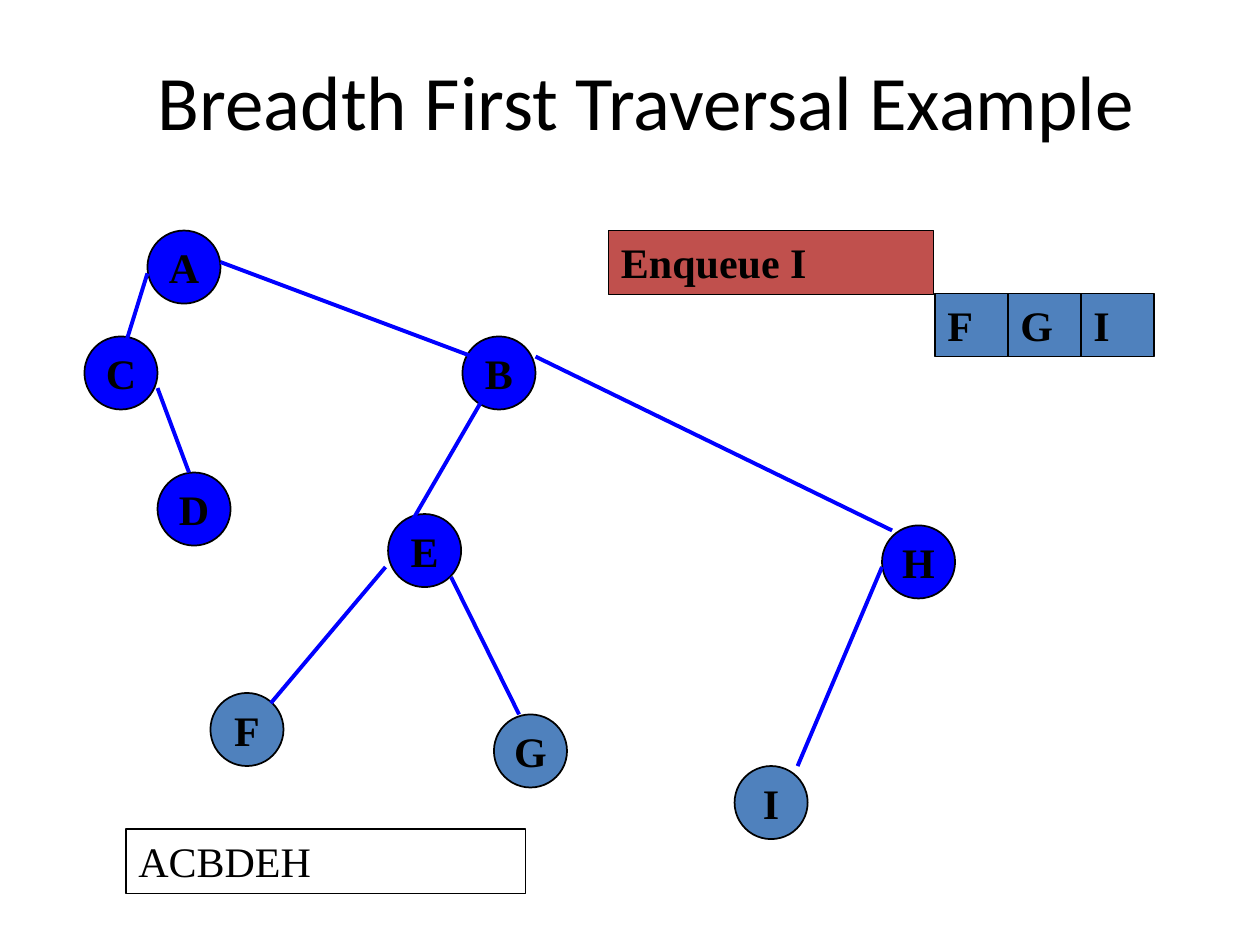
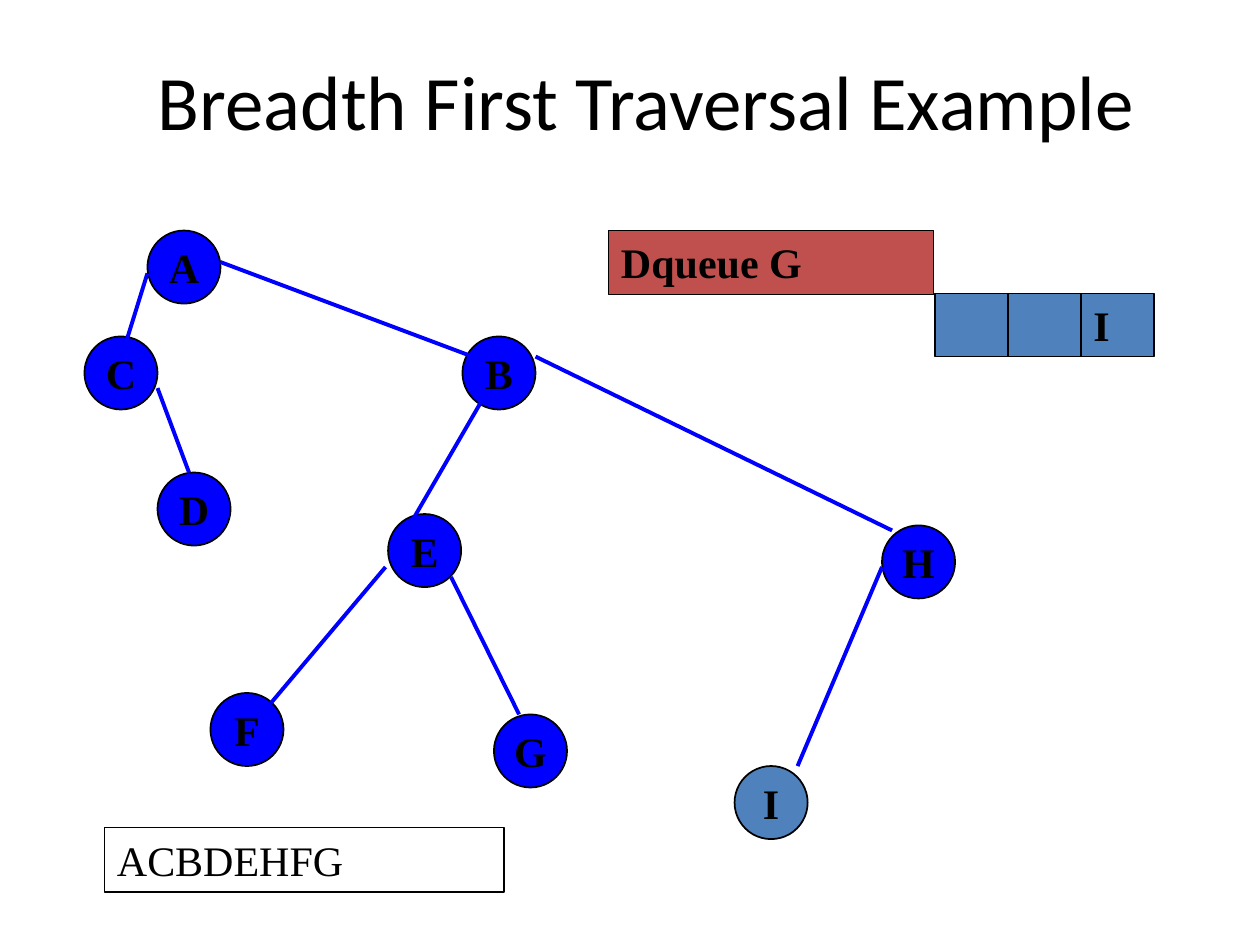
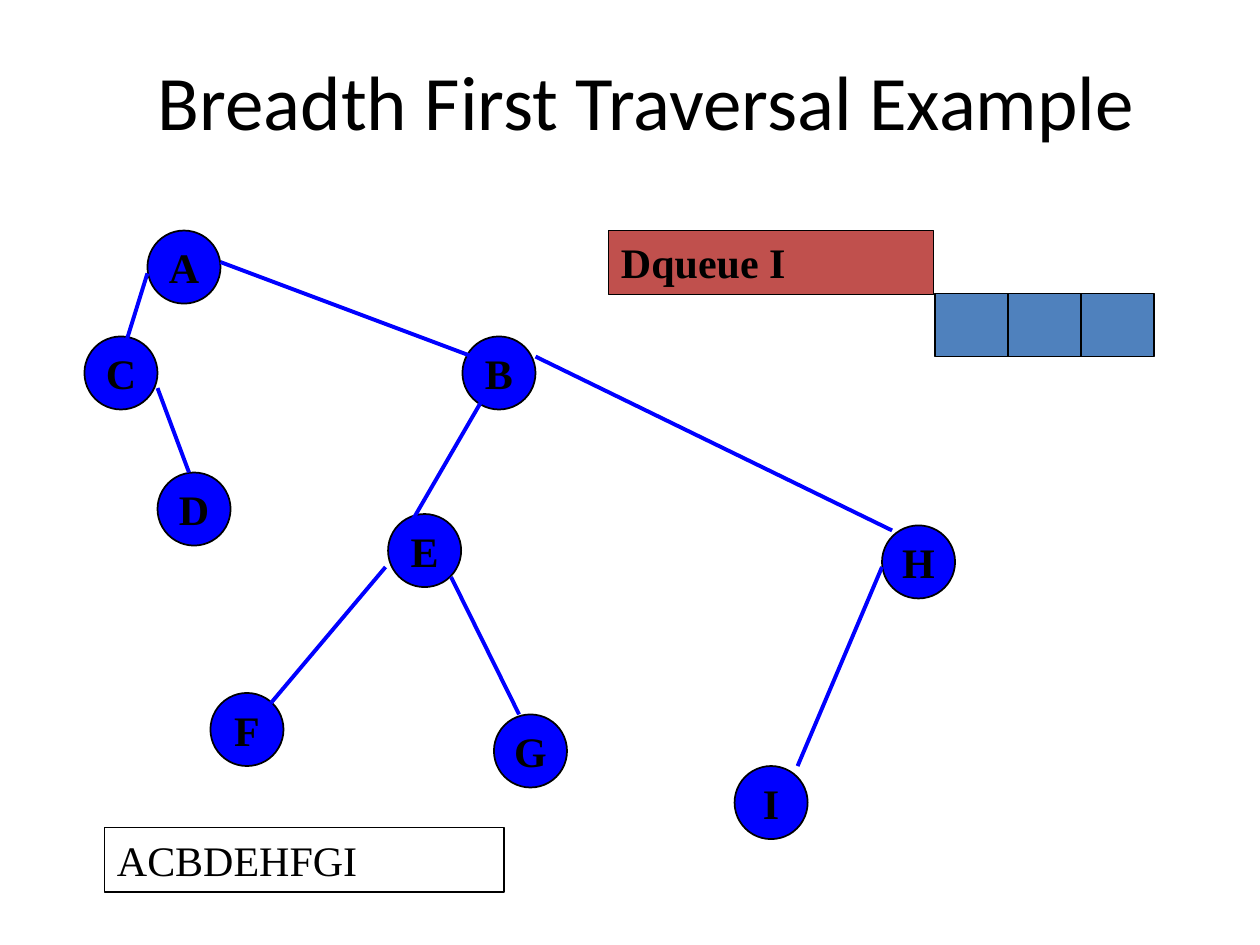
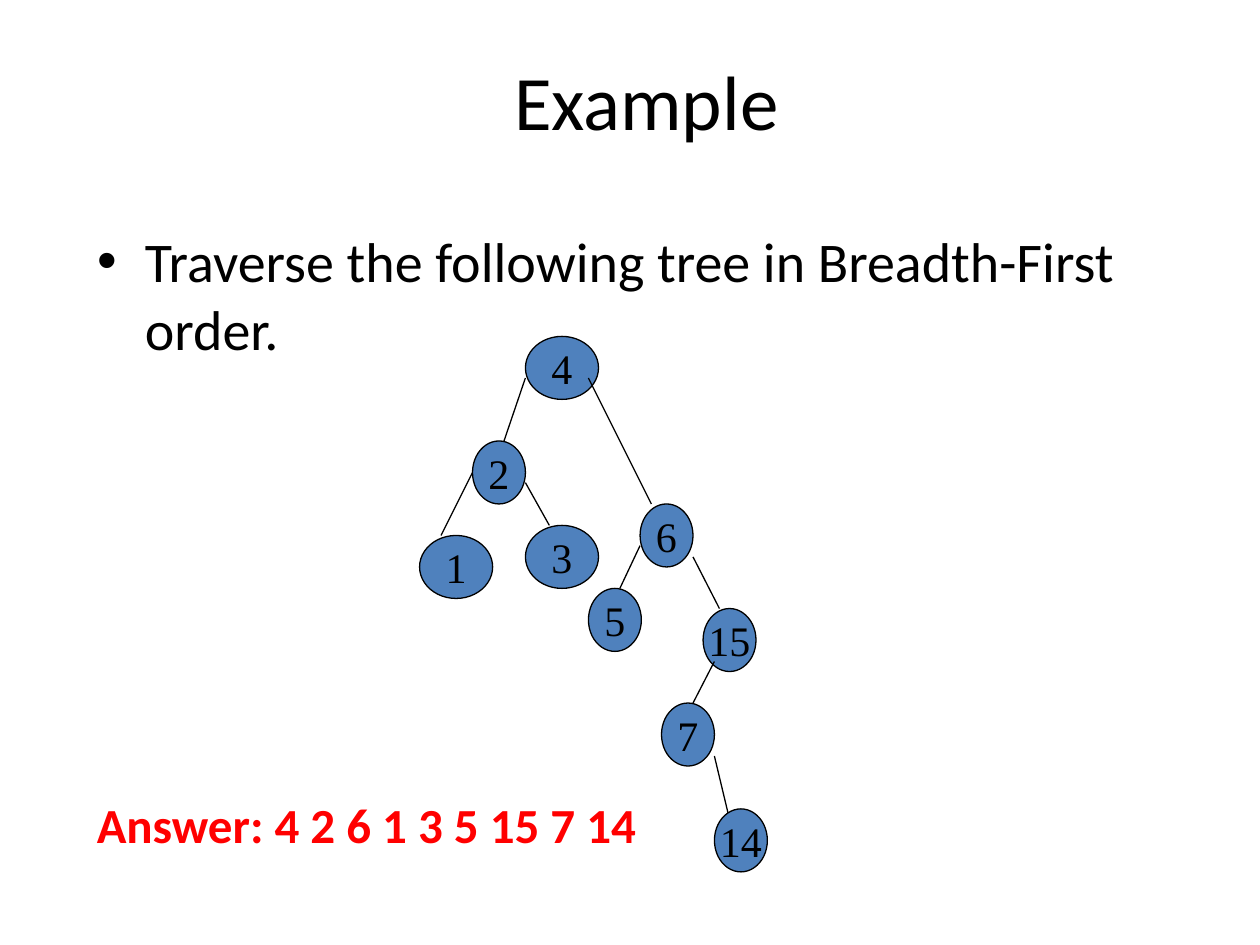
from dataclasses import dataclass
from typing import NamedTuple, Optional

from lxml.etree import SubElement
from pptx import Presentation
from pptx.dml.color import RGBColor
from pptx.enum.shapes import MSO_CONNECTOR, MSO_SHAPE
from pptx.enum.text import MSO_ANCHOR, MSO_AUTO_SIZE, PP_ALIGN
from pptx.oxml.ns import qn
from pptx.shapes.autoshape import Shape
from pptx.shapes.shapetree import GroupShapes
from pptx.slide import Slide
from pptx.text.text import TextFrame
from pptx.util import Inches, Pt

BLACK = RGBColor(0x00, 0x00, 0x00)
BLUE = RGBColor(0x00, 0x00, 0xFF)
STEEL = RGBColor(0x4F, 0x81, 0xBD)
BRICK = RGBColor(0xC0, 0x50, 0x4D)
RED = RGBColor(0xFF, 0x00, 0x00)
HEADING_FONT = "Calibri"
DIAGRAM_FONT = "Times New Roman"

TITLE_ONLY, TITLE_AND_BODY = 5, 1
THIN = 0.75
CELL_WIDTH, CELL_HEIGHT = 0.58, 0.5
CIRCLE = 0.58


class Box(NamedTuple):
    left: float
    top: float
    width: float
    height: float

    def inches(self) -> list:
        return [Inches(length) for length in self]


class TextStyle(NamedTuple):
    font: str = DIAGRAM_FONT
    size: float = 24
    color: RGBColor = BLACK
    bold: bool = False


class Node(NamedTuple):
    label: str
    left: float
    top: float
    width: float
    height: float


class Edge(NamedTuple):
    start_x: float
    start_y: float
    end_x: float
    end_y: float
    behind_nodes: bool = False


@dataclass(frozen=True)
class Tree:
    nodes: list[Node]
    edges: list[Edge]
    edge_color: RGBColor
    edge_width: float
    outline_width: float
    label_style: TextStyle


@dataclass(frozen=True)
class Step:
    action: str
    queue: tuple[str, str, str]
    visited: str
    visited_box: Box


TITLE_BOX = Box(0.67, 0.25, 8.92, 1.08)
BODY_BOX = Box(0.67, 1.75, 8.92, 4.92)
ACTION_BOX = Box(4.83, 1.83, 2.58, 0.51)
QUEUE_LEFT, QUEUE_TOP = 7.42, 2.33
ANSWER_BOX = Box(0.67, 6.26, 4.54, 0.57)

PLAIN = TextStyle()
STRONG = TextStyle(bold=True)

LETTER_TREE = Tree(
    nodes=[
        Node(label, left, top, CIRCLE, CIRCLE)
        for label, left, top in [
            ("A", 1.17, 1.83), ("B", 3.67, 2.67), ("C", 0.67, 2.67),
            ("D", 1.25, 3.75), ("E", 3.08, 4.08), ("F", 1.67, 5.5),
            ("G", 3.92, 5.67), ("H", 7, 4.17), ("I", 5.83, 6.08),
        ]
    ],
    edges=[
        Edge(1.17, 2.17, 0.99, 2.75), Edge(1.25, 3.08, 1.5, 3.75),
        Edge(1.75, 2.08, 3.75, 2.83), Edge(3.83, 3.17, 3.25, 4.17),
        Edge(3.06, 4.5, 2.15, 5.58), Edge(3.58, 4.58, 4.12, 5.67),
        Edge(4.25, 2.83, 7.08, 4.21), Edge(6.33, 6.08, 7, 4.5),
    ],
    edge_color=BLUE,
    edge_width=2.25,
    outline_width=1,
    label_style=STRONG,
)

WIDE, NARROW = 0.58, 0.42
NUMBER_TREE = Tree(
    nodes=[
        Node(label, left, top, width, 0.5)
        for label, left, top, width in [
            ("4", 4.17, 2.67, WIDE), ("2", 3.75, 3.5, NARROW),
            ("6", 5.08, 4, NARROW), ("1", 3.33, 4.25, WIDE),
            ("3", 4.17, 4.17, WIDE), ("5", 4.67, 4.67, NARROW),
            ("15", 5.58, 4.83, NARROW), ("7", 5.25, 5.58, NARROW),
            ("14", 5.67, 6.42, NARROW),
        ]
    ],
    edges=[
        Edge(4.17, 3, 4, 3.5), Edge(4.67, 3, 5.17, 4),
        Edge(3.75, 3.75, 3.5, 4.25, behind_nodes=True),
        Edge(4.17, 3.83, 4.36, 4.17, behind_nodes=True),
        Edge(5.08, 4.33, 4.92, 4.67), Edge(5.5, 4.42, 5.71, 4.83),
        Edge(5.67, 5.25, 5.5, 5.58),
        Edge(5.67, 6, 5.83, 6.67, behind_nodes=True),
    ],
    edge_color=BLACK,
    edge_width=THIN,
    outline_width=THIN,
    label_style=PLAIN,
)

STEPS = [
    Step("Enqueue I", ("F", "G", "I"), "ACBDEH", Box(1, 6.58, 3.17, 0.51)),
    Step("Dqueue G", ("", "", "I"), "ACBDEHFG", Box(0.83, 6.57, 3.17, 0.51)),
    Step("Dqueue I", ("", "", ""), "ACBDEHFGI", Box(0.83, 6.57, 3.17, 0.51)),
]


def write(frame: TextFrame, text: str, style: TextStyle, alignment: PP_ALIGN) -> None:
    paragraph = frame.paragraphs[0]
    paragraph.alignment = alignment
    run = paragraph.add_run()
    run.text = text
    run.font.name = style.font
    run.font.size = Pt(style.size)
    run.font.bold = style.bold
    run.font.color.rgb = style.color


def place(shape: Shape, box: Box) -> None:
    shape.left, shape.top, shape.width, shape.height = box.inches()


def add_figure(
    shapes: GroupShapes,
    kind: MSO_SHAPE,
    box: Box,
    fill: Optional[RGBColor],
    outline_width: float = THIN,
) -> Shape:
    figure = shapes.add_shape(kind, *box.inches())
    figure.shadow.inherit = False
    if fill is None:
        figure.fill.background()
    else:
        figure.fill.solid()
        figure.fill.fore_color.rgb = fill
    figure.line.color.rgb = BLACK
    figure.line.width = Pt(outline_width)
    return figure


def add_caption_box(
    shapes: GroupShapes, box: Box, fill: Optional[RGBColor], text: str, style: TextStyle
) -> None:
    frame = add_figure(shapes, MSO_SHAPE.RECTANGLE, box, fill).text_frame
    frame.word_wrap = True
    frame.auto_size = MSO_AUTO_SIZE.SHAPE_TO_FIT_TEXT
    frame.vertical_anchor = MSO_ANCHOR.TOP
    write(frame, text, style, PP_ALIGN.LEFT)


def add_label(figure: Shape, text: str, style: TextStyle, alignment: PP_ALIGN) -> None:
    frame = figure.text_frame
    frame.word_wrap = False
    frame.vertical_anchor = MSO_ANCHOR.MIDDLE
    write(frame, text, style, alignment)


def add_edges(shapes: GroupShapes, tree: Tree, behind_nodes: bool) -> None:
    for edge in tree.edges:
        if edge.behind_nodes != behind_nodes:
            continue
        ends = [Inches(length) for length in edge[:4]]
        connector = shapes.add_connector(MSO_CONNECTOR.STRAIGHT, *ends)
        connector.line.color.rgb = tree.edge_color
        connector.line.width = Pt(tree.edge_width)
        SubElement(connector.element.spPr, qn("a:effectLst"))


def add_tree(slide: Slide, tree: Tree, visited: str = "") -> None:
    """Draw the tree as one group, with the visited nodes in blue."""
    shapes = slide.shapes.add_group_shape().shapes
    add_edges(shapes, tree, behind_nodes=True)
    for node in tree.nodes:
        fill = BLUE if node.label in visited else STEEL
        ellipse = add_figure(
            shapes, MSO_SHAPE.OVAL, Box(*node[1:]), fill, tree.outline_width
        )
        add_label(ellipse, node.label, tree.label_style, PP_ALIGN.CENTER)
    add_edges(shapes, tree, behind_nodes=False)


def add_queue(slide: Slide, step: Step) -> None:
    shapes = slide.shapes.add_group_shape().shapes
    add_caption_box(shapes, ACTION_BOX, BRICK, step.action, STRONG)
    for column, label in enumerate(step.queue):
        box = Box(QUEUE_LEFT + column * CELL_WIDTH, QUEUE_TOP, CELL_WIDTH, CELL_HEIGHT)
        cell = add_figure(shapes, MSO_SHAPE.RECTANGLE, box, STEEL)
        if label:
            add_label(cell, label, STRONG, PP_ALIGN.LEFT)


def add_titled_slide(presentation: Presentation, layout: int, title: str) -> Slide:
    slide = presentation.slides.add_slide(presentation.slide_layouts[layout])
    placeholder = slide.shapes.title
    place(placeholder, TITLE_BOX)
    placeholder.text_frame.vertical_anchor = MSO_ANCHOR.MIDDLE
    write(placeholder.text_frame, title, TextStyle(HEADING_FONT, 44), PP_ALIGN.CENTER)
    return slide


def add_step_slide(presentation: Presentation, step: Step) -> None:
    slide = add_titled_slide(
        presentation, TITLE_ONLY, "Breadth First Traversal Example"
    )
    add_tree(slide, LETTER_TREE, step.visited)
    add_queue(slide, step)
    add_caption_box(slide.shapes, step.visited_box, None, step.visited, PLAIN)


def add_bullet_text(slide: Slide, text: str) -> None:
    body = slide.placeholders[1]
    place(body, BODY_BOX)
    paragraph = body.text_frame.paragraphs[0]
    properties = paragraph._p.get_or_add_pPr()
    properties.set("marL", str(Inches(0.38)))
    properties.set("indent", str(Inches(-0.38)))
    SubElement(properties, qn("a:buFont"), typeface="Arial")
    SubElement(properties, qn("a:buChar"), char="•")
    paragraph.space_before = Pt(0)
    write(body.text_frame, text, TextStyle(HEADING_FONT, 32), PP_ALIGN.LEFT)


def add_exercise_slide(presentation: Presentation) -> None:
    slide = add_titled_slide(presentation, TITLE_AND_BODY, "Example")
    add_bullet_text(slide, "Traverse the following tree in Breadth-First order.")
    add_tree(slide, NUMBER_TREE)
    frame = slide.shapes.add_textbox(*ANSWER_BOX.inches()).text_frame
    frame.word_wrap = False
    frame.auto_size = MSO_AUTO_SIZE.SHAPE_TO_FIT_TEXT
    answer_style = TextStyle(HEADING_FONT, 28, RED, bold=True)
    write(frame, "Answer: 4 2 6 1 3 5 15 7 14", answer_style, PP_ALIGN.LEFT)


def main() -> None:
    presentation = Presentation()
    presentation.slide_width = Inches(10)
    presentation.slide_height = Inches(7.5)
    for step in STEPS:
        add_step_slide(presentation, step)
    add_exercise_slide(presentation)
    presentation.save("out.pptx")


if __name__ == "__main__":
    main()
